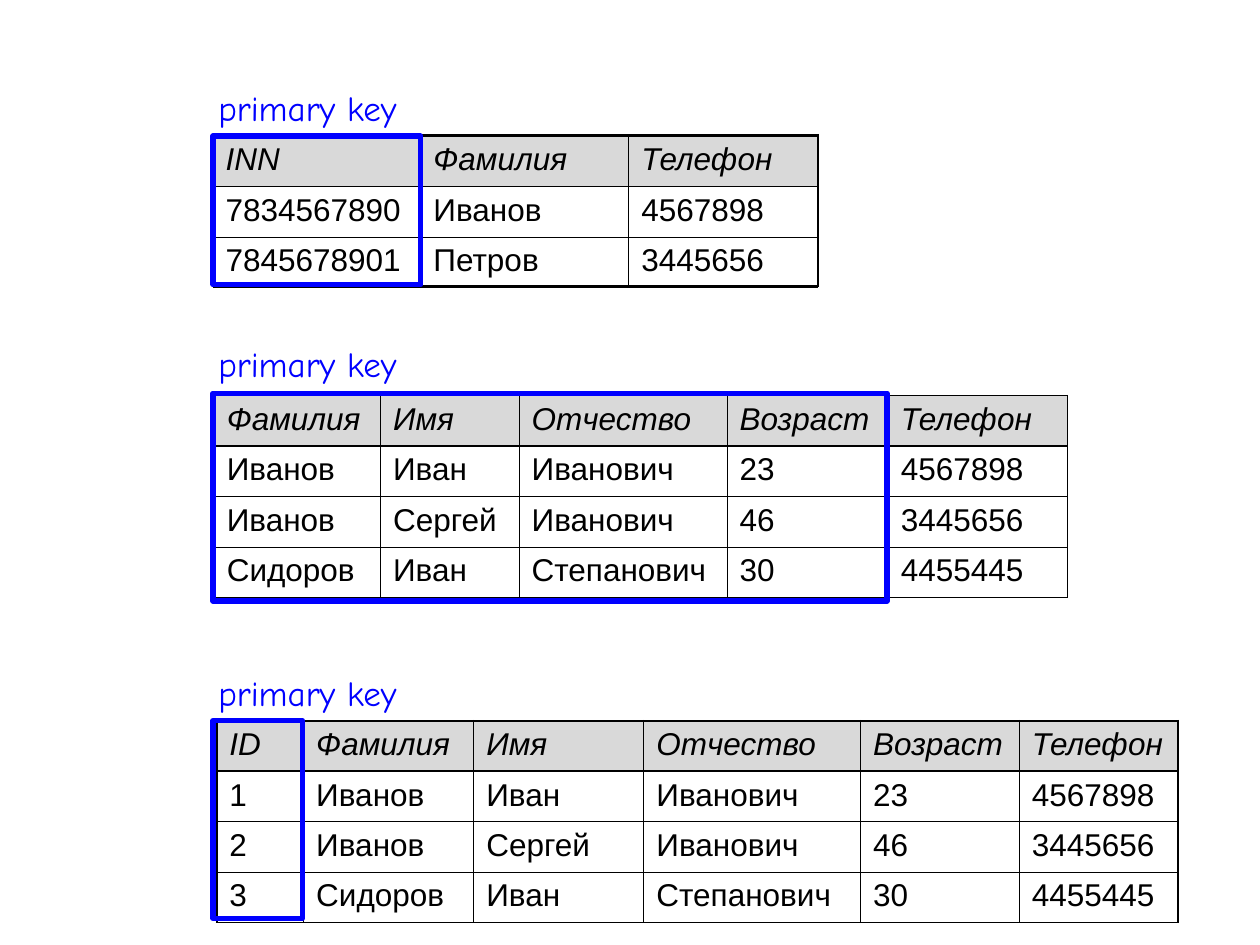
from pptx import Presentation
from pptx.dml.color import RGBColor
from pptx.enum.shapes import MSO_SHAPE
from pptx.enum.text import MSO_AUTO_SIZE, PP_ALIGN
from pptx.oxml import parse_xml
from pptx.oxml.ns import nsdecls
from pptx.util import Inches, Pt

BLACK = RGBColor(0x00, 0x00, 0x00)
BLUE = RGBColor(0x00, 0x00, 0xFF)
GRAY = RGBColor(0xD9, 0xD9, 0xD9)
THIN, THICK = 0.45, 1.08


def edge(cell, side, width):
    cell._tc.get_or_add_tcPr().append(parse_xml(
        f'<a:ln{side} {nsdecls("a")} w="{Pt(width)}"><a:solidFill>'
        f'<a:srgbClr val="{BLACK}"/></a:solidFill></a:ln{side}>'))


def grid(left, top, cols, rows, high=0.4, head=True, side=THIN):
    table = slide.shapes.add_table(
        len(rows), len(cols), Inches(left), Inches(top),
        Inches(sum(cols)), Inches(high * len(rows))).table
    table.first_row = table.horz_banding = False
    for col, wide in zip(table.columns, cols):
        col.width = Inches(wide)
    for r, row in enumerate(rows):
        table.rows[r].height = Inches(high)
        for c, word in enumerate(row):
            cell = table.cell(r, c)
            edge(cell, "L", side if c == 0 else THIN)
            edge(cell, "R", side if c == len(cols) - 1 else THIN)
            edge(cell, "T", THICK if r < 2 else THIN)
            edge(cell, "B", THICK if r == 0 else THIN)
            if head and r == 0:
                cell.fill.solid()
                cell.fill.fore_color.rgb = GRAY
            else:
                cell.fill.background()
            cell.text_frame.text = word
            font = cell.text_frame.paragraphs[0].font
            font.name = "Arial"
            font.size = Pt(18)
            font.italic = head and r == 0
            font.color.rgb = BLACK


deck = Presentation()
deck.slide_width, deck.slide_height = Inches(10), Inches(7.5)
slide = deck.slides.add_slide(deck.slide_layouts[6])

people = [
    ["Фамилия", "Имя", "Отчество", "Возраст", "Телефон"],
    ["Иванов", "Иван", "Иванович", "23", "4567898"],
    ["Иванов", "Сергей", "Иванович", "46", "3445656"],
    ["Сидоров", "Иван", "Степанович", "30", "4455445"],
]
coded = [[code] + row for code, row in zip(["ID", "1", "2", "3"], people)]
payers = [
    ["INN", "Фамилия", "Телефон"],
    ["7834567890", "Иванов", "4567898"],
    ["7845678901", "Петров", "3445656"],
]

grid(1.7, 3.14, [1.32, 1.1, 1.65, 1.28, 1.42], people)
grid(1.72, 5.72, [0.69, 1.35, 1.35, 1.72, 1.26, 1.26], coded, side=THICK)
grid(1.69, 1.08, [1.65, 1.65, 1.5], payers)
grid(1.7, 1.07, [4.79], [[""]], high=1.2, head=False, side=THICK)

keys = [(0.64, 1.08, 1.65, 1.18), (2.67, 3.12, 5.35, 1.65), (5.28, 5.72, 0.71, 1.57)]
for text_top, top, wide, high in keys:
    box = slide.shapes.add_shape(
        MSO_SHAPE.RECTANGLE, Inches(1.69), Inches(top), Inches(wide), Inches(high))
    box.shadow.inherit = False
    box.fill.background()
    box.line.color.rgb = BLUE
    box.line.width = Pt(3)

    label = slide.shapes.add_textbox(
        Inches(1.63), Inches(text_top), Inches(1.62), Inches(0.44))
    frame = label.text_frame
    frame.word_wrap = False
    frame.auto_size = MSO_AUTO_SIZE.SHAPE_TO_FIT_TEXT
    frame.text = "primary key"
    para = frame.paragraphs[0]
    para.alignment = PP_ALIGN.CENTER
    para.font.name = "Comic Neue"
    para.font.size = Pt(20)
    para.font.color.rgb = BLUE

deck.save("out.pptx")
